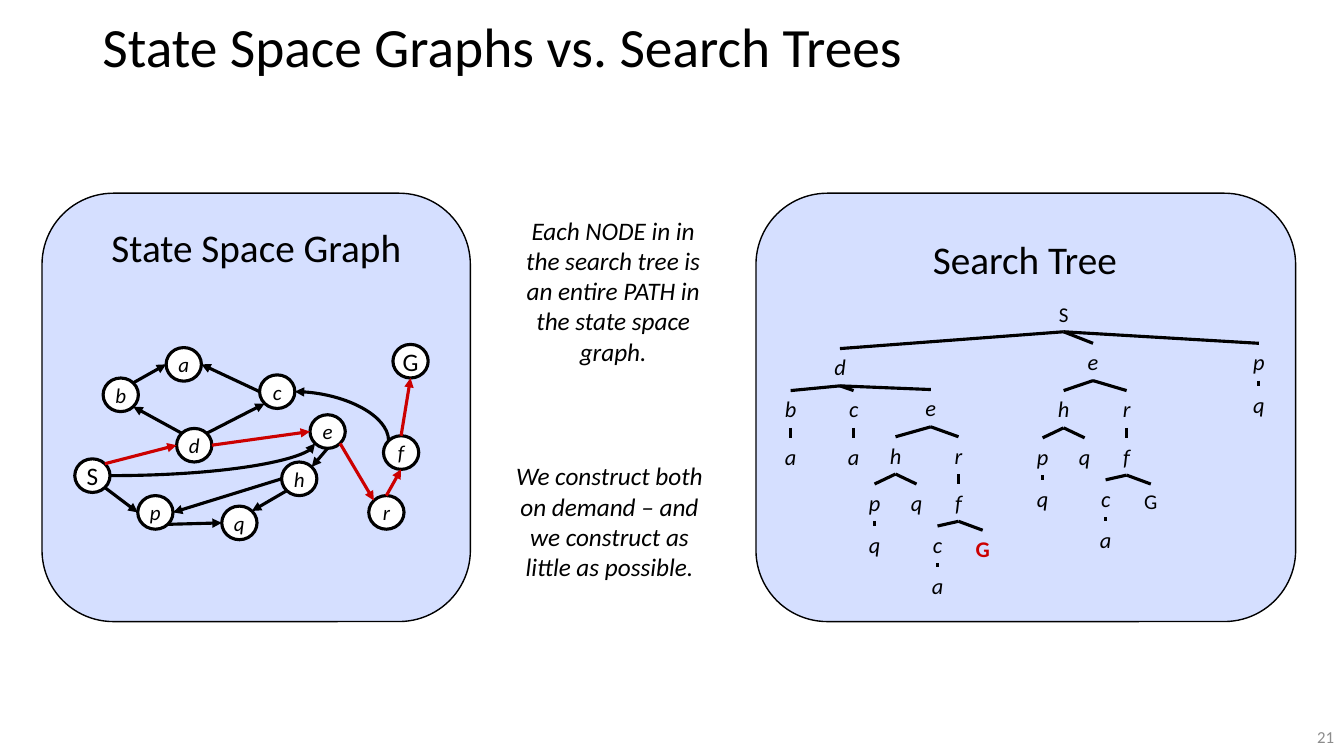
from lxml import etree
from pptx import Presentation, util as u
from pptx.dml.color import RGBColor
from pptx.enum import shapes, text
from pptx.oxml.ns import qn

COLORS = {"ink": "000000", "panel": "D5DFFF", "node": "FFFFFF", "path": "CC0000", "number": "8C8C8C"}
FONT = "Calibri"
COLUMNS, ROWS = 128, 72
CELL = u.Inches(7.5) / ROWS
NODE_W, NODE_H = 3.36, 3.2
LABEL_H = 3.55

GRAPH_NODES = {
    "S": (4.8, 26.9), "G": (35.1, 16), "d": (14.5, 24), "b": (7.5, 19.2),
    "p": (10.8, 30.4), "q": (18.8, 31.4), "c": (22.4, 18.9), "e": (27.2, 22.7),
    "h": (24.5, 27.2), "a": (13.5, 16.3), "f": (34.2, 24.7), "r": (32.8, 30.4),
}
SIDES = {
    "N": (0, -1), "S": (0, 1), "W": (-1, 0), "E": (1, 0),
    "NW": (-0.71, -0.71), "NE": (0.71, -0.71), "SW": (-0.71, 0.71), "SE": (0.71, 0.71),
}
GRAPH_EDGES = [
    ("S", "SE", "p", "W", "ink"), ("p", "SE", "q", "W", "ink"),
    ("h", "SW", "q", "NE", "ink"), ("h", "W", "p", "E", "ink"),
    ("e", "S", "h", "NE", "ink"), ("e", "SE", "r", "NW", "path"),
    ("r", "N", "f", "S", "path"), ("f", "N", "G", "S", "path"),
    ("S", "NE", "d", "W", "path"), ("d", "NW", "b", "SE", "ink"),
    ("b", "NE", "a", "W", "ink"), ("c", "W", "a", "E", "ink"),
    ("d", "NE", "c", "SW", "ink"), ("d", "E", "e", "W", "path"),
]
CURVED_EDGES = [("c", "E", "f", "NW", "headEnd"), ("S", "E", "e", "SW", "tailEnd")]


def cells(*counts):
    """Turn counts of grid cells into lengths."""
    return [u.Emu(round(count * CELL)) for count in counts]


def color(key):
    """Look up a colour by its role."""
    return RGBColor.from_string(COLORS[key])


def write(frame, words, size=18, ink="ink", bold=False, italic=False,
          align=text.PP_ALIGN.CENTER, anchor=text.MSO_ANCHOR.TOP, wrap=True, spacing=None):
    """Fill a text frame with one formatted paragraph."""
    frame.word_wrap = wrap
    frame.auto_size = text.MSO_AUTO_SIZE.NONE
    frame.vertical_anchor = anchor
    paragraph = frame.paragraphs[0]
    paragraph.alignment = align
    paragraph.line_spacing = spacing
    run = paragraph.add_run()
    run.text = words
    font = run.font
    font.name, font.size, font.bold, font.italic = FONT, u.Pt(size), bold, italic
    font.color.rgb = color(ink)


def add_words(slide, box, words, **style):
    """Place a text box on the grid."""
    write(slide.shapes.add_textbox(*cells(*box)).text_frame, words, **style)


def add_outlined(slide, kind, box, fill, width):
    """Place a filled shape with a black outline."""
    outlined = slide.shapes.add_shape(kind, *cells(*box))
    outlined.shadow.inherit = False
    outlined.fill.solid()
    outlined.fill.fore_color.rgb = color(fill)
    outlined.line.color.rgb = color("ink")
    outlined.line.width = u.Pt(width)
    return outlined


def add_edge(slide, start, end, ink="ink", arrow=None, curved=False):
    """Draw an edge between two grid points, with an optional arrowhead."""
    kind = shapes.MSO_CONNECTOR.CURVE if curved else shapes.MSO_CONNECTOR.STRAIGHT
    edge = slide.shapes.add_connector(kind, *cells(*start, *end))
    edge.line.color.rgb = color(ink)
    edge.line.width = u.Pt(2.25)
    properties = edge._element.spPr
    if curved:
        properties.find(qn("a:prstGeom")).set("prst", "curvedConnector2")
    if arrow:
        etree.SubElement(properties.find(qn("a:ln")), qn(f"a:{arrow}"), type="triangle")
    etree.SubElement(properties, qn("a:effectLst"))


def add_panel(slide, box, heading, heading_box):
    """Draw a rounded panel and its heading."""
    add_outlined(slide, shapes.MSO_SHAPE.ROUNDED_RECTANGLE, box, "panel", 1)
    dx, dy, width = heading_box
    add_words(slide, (box[0] + dx, box[1] + dy, width, 5.5), heading, size=28)


def add_state_graph(slide, box):
    """Draw the state space graph inside its panel."""
    left, top = box[:2]
    add_panel(slide, box, "State Space Graph", (2.4, 2.4, 36))

    def side_point(name, side):
        """Find the point of a node's outline that faces a side."""
        (x, y), (across, down) = GRAPH_NODES[name], SIDES[side]
        return left + x + across * NODE_W / 2, top + y + down * NODE_H / 2

    for name, (x, y) in GRAPH_NODES.items():
        place = (left + x - NODE_W / 2, top + y - NODE_H / 2, NODE_W, NODE_H)
        node = add_outlined(slide, shapes.MSO_SHAPE.FLOWCHART_CONNECTOR, place, "node", 2.25)
        write(node.text_frame, name, size=18 if name.isupper() else 15,
              italic=name.islower(), anchor=text.MSO_ANCHOR.MIDDLE, wrap=False)
    for origin, leaving, target, entering, ink in GRAPH_EDGES:
        add_edge(slide, side_point(origin, leaving), side_point(target, entering), ink, "tailEnd")
    for origin, leaving, target, entering, arrow in CURVED_EDGES:
        add_edge(slide, side_point(origin, leaving), side_point(target, entering),
                 arrow=arrow, curved=True)


def e_branch(dx, dy, h_dx, goal):
    """Describe the subtree below e, which occurs twice in the tree."""
    return ("e", dx, dy, [
        ("h", h_dx, 4.5, [("p", -2, 4.5, [("q", 0, 4, [])]), ("q", 2, 4.5, [])]),
        ("r", h_dx + 6, 4.5, [
            ("f", 0, 4.5, [("c", -2, 4, [("a", 0, 3.9, [])]), (goal, 2.3, 4.4, [])]),
        ]),
    ])


def add_branch(slide, branch, x, y):
    """Draw a tree node and, below it, its children with their edges."""
    name, dx, dy, children = branch
    x, y = x + dx, y + dy
    reached = name == "goal"
    capital = name == "S" or name == "G"
    height = 3.4 if capital else LABEL_H
    width = {"S": 8.64, "G": 6.6, "goal": 6.6}.get(name, NODE_W)
    add_words(slide, (x - width / 2, y, width, height), "G" if reached else name,
              size=15 if capital else 16, italic=not (capital or reached),
              bold=reached, ink="path" if reached else "ink", wrap=False)
    for child in children:
        add_edge(slide, (x, y + height), (x + child[1], y + child[2]))
        add_branch(slide, child, x, y)


def add_search_tree(slide, box):
    """Draw the search tree inside its panel."""
    add_panel(slide, box, "Search Tree", (0, 3.5, 51.2))
    tree = ("S", 29.3, 9.8, [
        ("d", -21.3, 5, [
            ("b", -4.7, 4, [("a", 0, 4.5, [])]),
            ("c", 1.3, 4, [("a", 0, 4.5, [])]),
            e_branch(8.65, 3.9, -3.36, "goal"),
        ]),
        e_branch(2.8, 4.5, -2.8, "G"),
        ("p", 18.6, 4.5, [("q", 0, 4.1, [])]),
    ])
    add_branch(slide, tree, *box[:2])


def add_title(slide, box):
    """Move and format the title placeholder."""
    title = slide.shapes.title
    title.left, title.top, title.width, title.height = cells(*box)
    write(title.text_frame, "State Space Graphs vs. Search Trees", size=39.6,
          align=text.PP_ALIGN.LEFT, anchor=text.MSO_ANCHOR.MIDDLE, spacing=0.9)


def add_remarks(slide, box):
    """Place the two remarks between the panels."""
    left, top, width, height = box
    add_words(slide, (left + 0.8, top, width - 0.9, 15.6),
              "Each NODE in in the search tree is an entire PATH in the state space graph.",
              italic=True)
    add_words(slide, (left, top + height - 12.6, width, 12.6),
              "We construct both on demand – and we construct as little as possible.",
              italic=True)


def main():
    """Build and save the slide."""
    deck = Presentation()
    deck.slide_width, deck.slide_height = cells(COLUMNS, ROWS)
    slide = deck.slides.add_slide(deck.slide_layouts[5])
    add_title(slide, (8.8, 1.2, 110.4, 7))
    add_state_graph(slide, (4, 18.4, 40.8, 40.8))
    add_remarks(slide, (47.2, 20, 21.7, 36))
    add_search_tree(slide, (72, 18.4, 51.4, 40.8))
    add_words(slide, (COLUMNS - 5.7, ROWS - 3.6, 5.7, 3.6), "21", size=12, ink="number",
              align=text.PP_ALIGN.RIGHT, anchor=text.MSO_ANCHOR.MIDDLE)
    deck.save("out.pptx")


if __name__ == "__main__":
    main()
